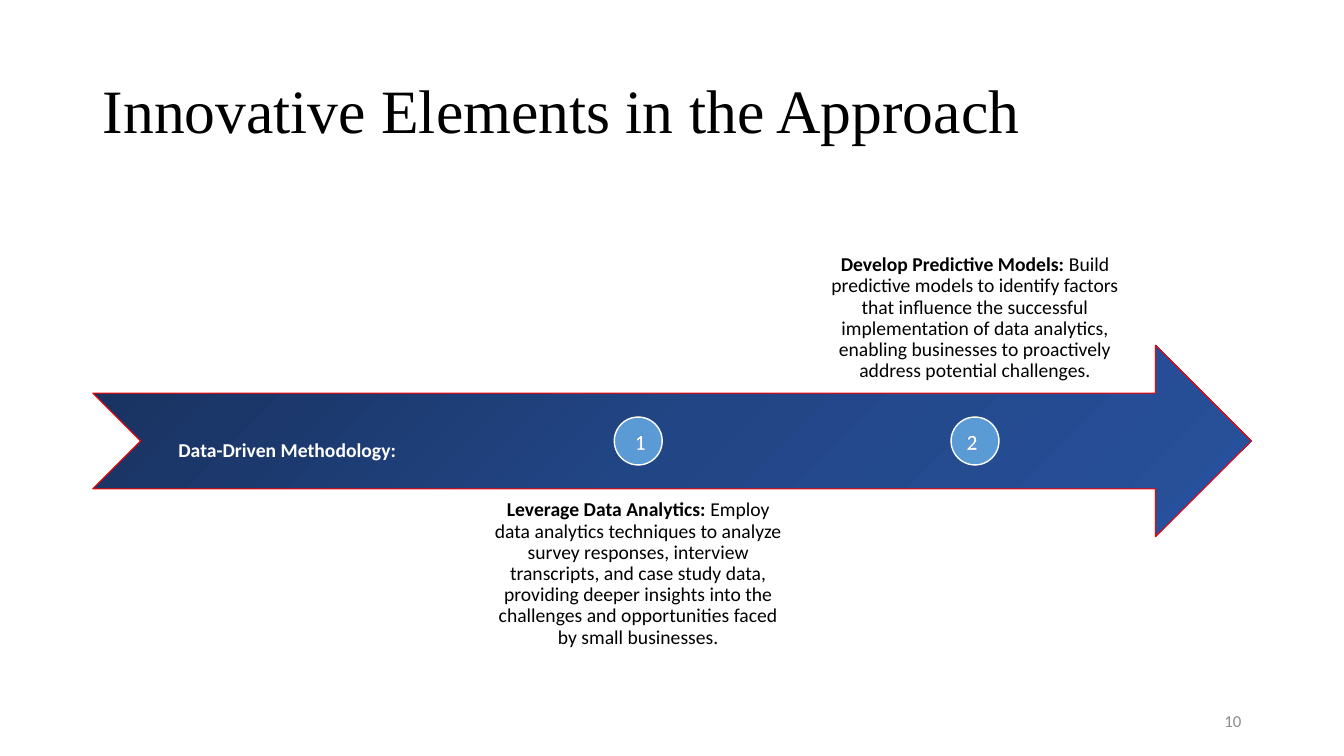
"""Build the slide on innovative elements: a notched arrow with two numbered steps."""
from lxml import etree
from pptx import Presentation
from pptx.dml.color import RGBColor
from pptx.enum.shapes import MSO_SHAPE
from pptx.enum.text import MSO_ANCHOR, PP_ALIGN
from pptx.oxml.ns import qn
from pptx.util import Inches, Pt

TITLE = "Innovative Elements in the Approach"
HEADING = "Data-Driven Methodology:"
STEPS = [
    {"number": "1", "above": False, "nudge": 0.02, "lead": "Leverage Data Analytics:",
     "body": " Employ data analytics techniques to analyze survey responses, interview "
             "transcripts, and case study data, providing deeper insights into the "
             "challenges and opportunities faced by small businesses."},
    {"number": "2", "above": True, "nudge": -0.03, "lead": "Develop Predictive Models:",
     "body": " Build predictive models to identify factors that influence the successful "
             "implementation of data analytics, enabling businesses to proactively "
             "address potential challenges."},
]
PAGE = "10"

COLORS = {"text": "000000", "light": "FFFFFF", "page": "8C8C8C", "dot": "5B9BD5",
          "edge": "FF0000", "outline": "4472C4"}
GRADIENT = [(0, "18315E"), (50, "224585"), (100, "28529E")]
SANS, SERIF = "Calibri", "Times New Roman"
LEFT, CENTER, RIGHT = PP_ALIGN.LEFT, PP_ALIGN.CENTER, PP_ALIGN.RIGHT
TOP, MIDDLE, BOTTOM = MSO_ANCHOR.TOP, MSO_ANCHOR.MIDDLE, MSO_ANCHOR.BOTTOM

WIDTH, HEIGHT = 13.33, 7.5
MARGIN = 0.92
CONTENT = WIDTH - 2 * MARGIN
ROW = 1.9
UPPER = 2.0
LOWER = UPPER + 1.5 * ROW
ARROW_TOP = UPPER + 0.75 * ROW
AXIS = ARROW_TOP + ROW / 2
STEP_LEFT, STEP_WIDTH, STEP_PITCH = 4.74, 3.18, 3.34
DOT = ROW / 4
PAD = 0.11


def add_text(slide, box, runs, size, color, font=SANS, align=CENTER,
             anchor=TOP, spacing=1.0, pad=None):
    sp = slide.shapes.add_textbox(*map(Inches, box))
    tf = sp.text_frame
    tf.word_wrap = True
    tf.vertical_anchor = anchor
    if pad is not None:
        tf.margin_left = tf.margin_right = Inches(pad)
        tf.margin_top = tf.margin_bottom = Inches(pad)
    p = tf.paragraphs[0]
    p.alignment, p.line_spacing = align, spacing
    for text, bold in runs:
        r = p.add_run()
        r.text = text
        r.font.size, r.font.name, r.font.bold = Pt(size), font, bold
        r.font.color.rgb = RGBColor.from_string(COLORS[color])
    return sp


def add_shape(slide, kind, box, fill, line, width):
    sp = slide.shapes.add_shape(kind, *map(Inches, box))
    sp.shadow.inherit = False
    sp.fill.solid()
    sp.fill.fore_color.rgb = RGBColor.from_string(fill)
    sp.line.color.rgb = RGBColor.from_string(COLORS[line])
    sp.line.width = Pt(width)
    return sp


def set_gradient(sp, stops, angle):
    solid = sp.fill._xPr.find(qn("a:solidFill"))
    grad = etree.Element(qn("a:gradFill"), rotWithShape="1")
    gs_list = etree.SubElement(grad, qn("a:gsLst"))
    for position, color in stops:
        gs = etree.SubElement(gs_list, qn("a:gs"), pos=str(position * 1000))
        etree.SubElement(gs, qn("a:srgbClr"), val=color)
    etree.SubElement(grad, qn("a:lin"), ang=str(angle * 60000), scaled="0")
    solid.getparent().replace(solid, grad)


def set_outline(run, color, width):
    ln = etree.Element(qn("a:ln"), w=str(Pt(width)))
    fill = etree.SubElement(ln, qn("a:solidFill"))
    etree.SubElement(fill, qn("a:srgbClr"), val=color)
    run.font._element.insert(0, ln)


def add_step(slide, index, step):
    left = STEP_LEFT + index * STEP_PITCH
    center = left + STEP_WIDTH / 2
    top, anchor = (UPPER, BOTTOM) if step["above"] else (LOWER, TOP)
    add_text(slide, (left, top, STEP_WIDTH, ROW),
             [(step["lead"], True), (step["body"], False)], 14, "text",
             anchor=anchor, spacing=0.9, pad=PAD)
    add_shape(slide, MSO_SHAPE.OVAL, (center - DOT / 2, AXIS - DOT / 2, DOT, DOT),
              COLORS["dot"], "light", 1)
    label = add_text(slide, (center + step["nudge"] - 0.31, AXIS - 0.18, 0.62, 0.37),
                     [(step["number"], True)], 16, "light")
    set_outline(label.text_frame.paragraphs[0].runs[0], COLORS["outline"], 0.8)


def main():
    prs = Presentation()
    prs.slide_width, prs.slide_height = Inches(WIDTH), Inches(HEIGHT)
    slide = prs.slides.add_slide(prs.slide_layouts[6])
    add_text(slide, (MARGIN, 0.4, CONTENT, 1.45), [(TITLE, False)], 44, "text",
             font=SERIF, align=LEFT, anchor=MIDDLE, spacing=0.9)
    arrow = add_shape(slide, MSO_SHAPE.NOTCHED_RIGHT_ARROW,
                      (MARGIN, ARROW_TOP, CONTENT, ROW), GRADIENT[0][1], "edge", 0.75)
    set_gradient(arrow, GRADIENT, 45)
    add_text(slide, (MARGIN + 0.1, 1.74, 3.66, 2.95), [(HEADING, True)], 14, "light",
             anchor=BOTTOM, spacing=0.9, pad=PAD)
    for index, step in enumerate(STEPS):
        add_step(slide, index, step)
    add_text(slide, (WIDTH - MARGIN - 3, 6.95, 3, 0.4), [(PAGE, False)], 12, "page",
             align=RIGHT, anchor=MIDDLE)
    prs.save("out.pptx")


if __name__ == "__main__":
    main()
